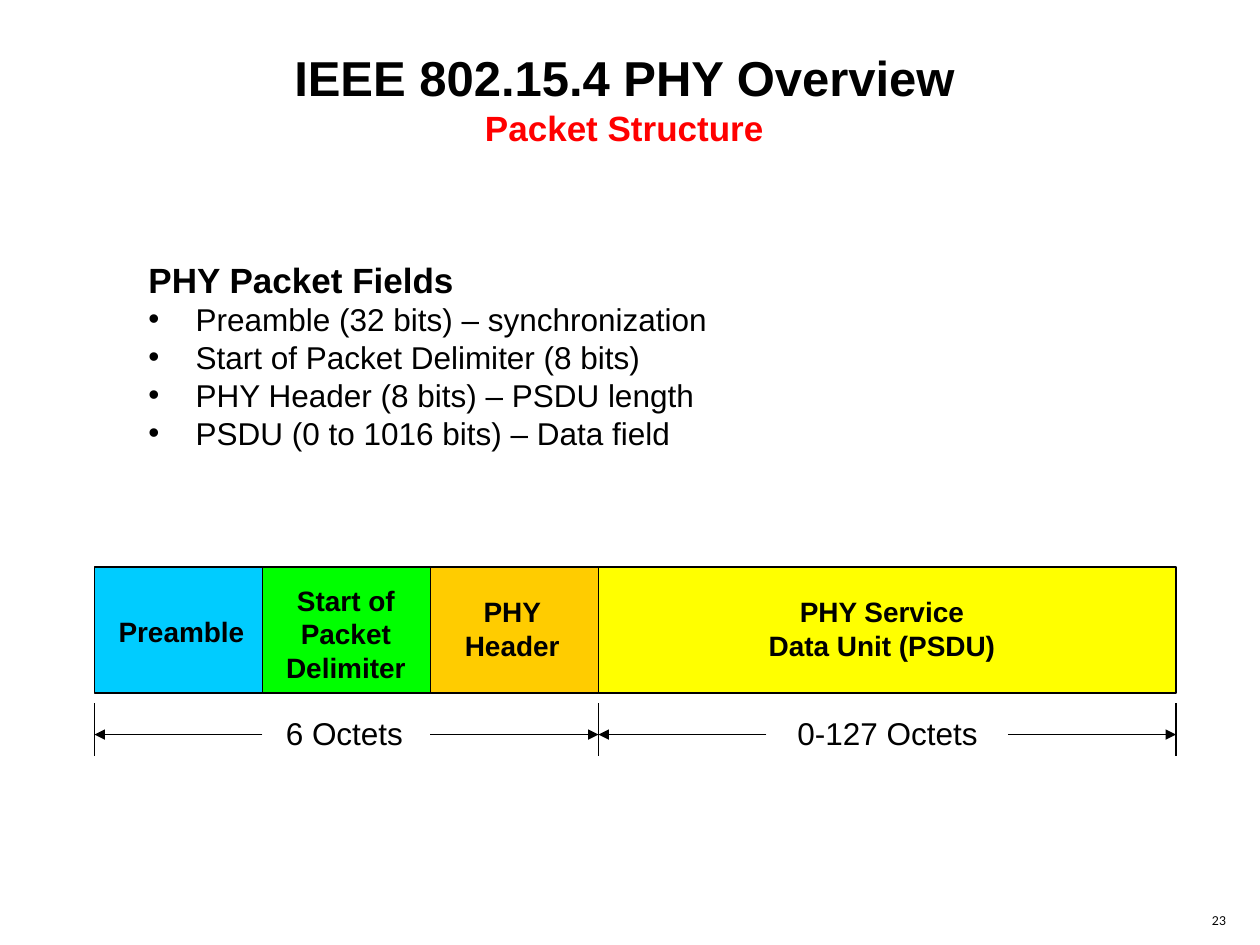
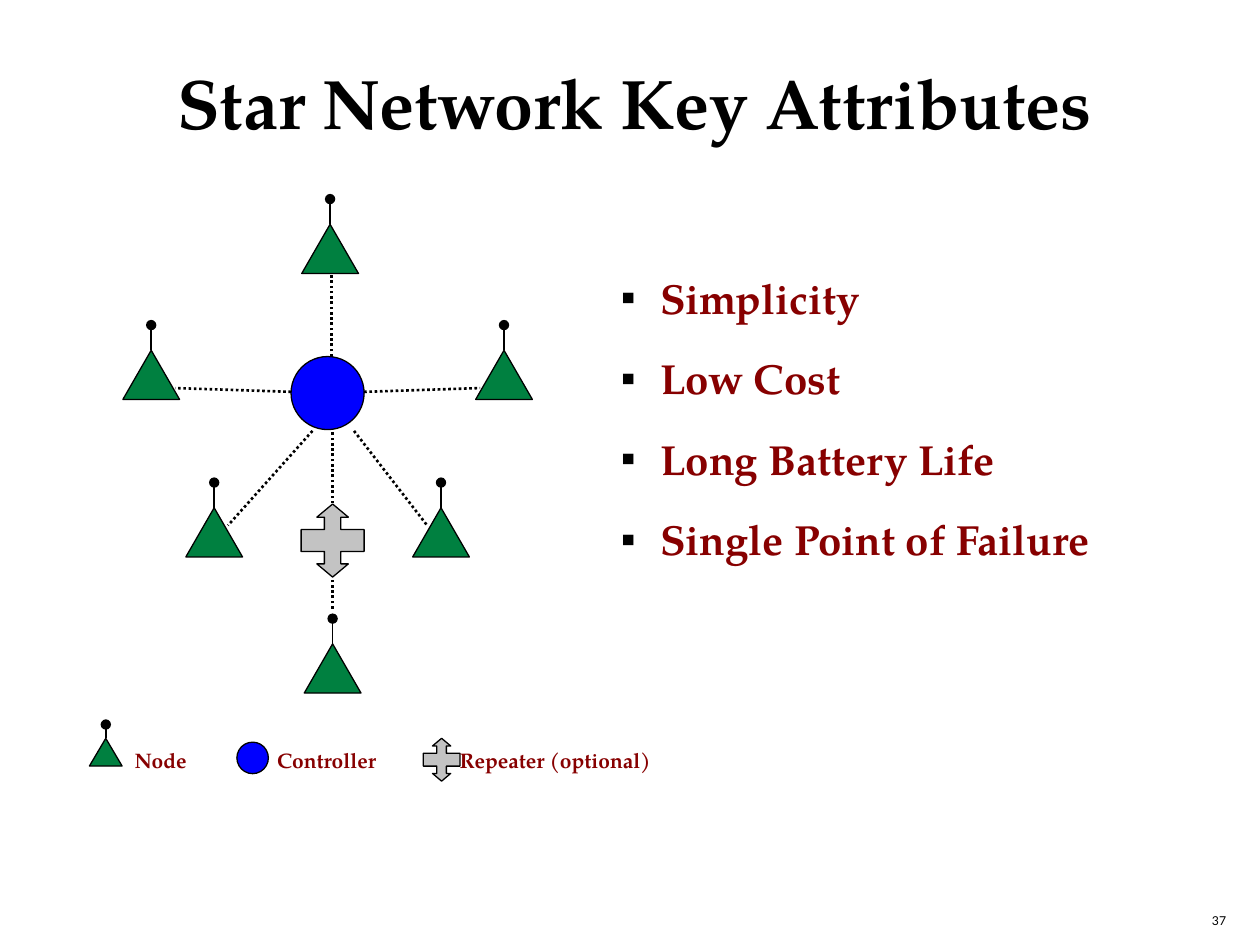
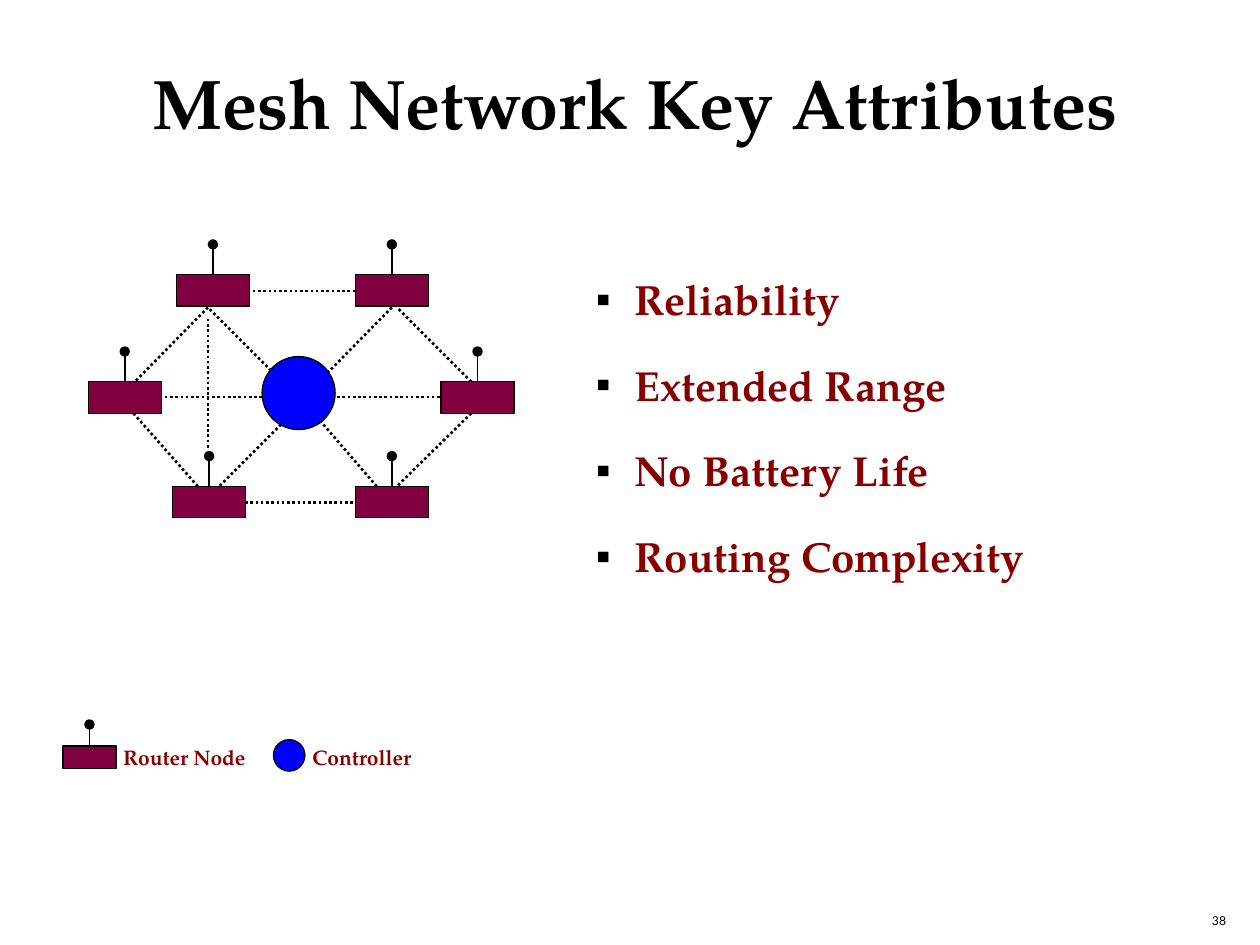
import dataclasses
import pptx
import pptx.dml.color
import pptx.enum.dml
import pptx.enum.shapes
import pptx.enum.text
import pptx.oxml.ns
import pptx.util
from lxml import etree

Inches = pptx.util.Inches
RGBColor = pptx.dml.color.RGBColor
Shape = pptx.enum.shapes.MSO_SHAPE
Align = pptx.enum.text.PP_ALIGN

# Shared look
BLACK = RGBColor(0x00, 0x00, 0x00)
RED = RGBColor(0xFF, 0x00, 0x00)
MAROON = RGBColor(0x87, 0x00, 0x00)
CYAN = RGBColor(0x00, 0xCC, 0xFF)
LIME = RGBColor(0x00, 0xFF, 0x00)
AMBER = RGBColor(0xFF, 0xCC, 0x00)
YELLOW = RGBColor(0xFF, 0xFF, 0x00)
GREEN = RGBColor(0x00, 0x80, 0x40)
PLUM = RGBColor(0x80, 0x00, 0x40)
BLUE = RGBColor(0x00, 0x00, 0xFF)
GREY = RGBColor(0xC3, 0xC3, 0xC3)


@dataclasses.dataclass
class Style:
    size: int
    font: str = "Arial"
    color: RGBColor = BLACK
    bold: bool = True
    bullet: str = ""
    indent: float = 0
    spacing: float = 1


SERIF = "TeX Gyre Pagella"
PACKET_TITLE = Style(28)
PACKET_SUBTITLE = Style(20, color=RED)
FIELD_HEADING = Style(20)
FIELD_ITEM = Style(18, bold=False, bullet="•", indent=0.375)
FIELD_LABEL = Style(16)
OCTETS = Style(18, bold=False)
NETWORK_TITLE = Style(40, SERIF)
ATTRIBUTE = Style(24, SERIF, MAROON, bullet="▪", indent=0.31)
LEGEND = Style(12, SERIF, MAROON)
PAGE_NUMBER = Style(7, "Lato", bold=False)

# Packet slide: the bar is laid out in columns of 4/3 inch
COLUMN, BAR_LEFT, BAR_TOP, BAR_HEIGHT = 4 / 3, 0.75, 4.5, 1
HEADER_COLUMNS, BAR_COLUMNS = 3, 6.4375
PACKET_ITEMS = [
    "Preamble (32 bits) – synchronization",
    "Start of Packet Delimiter (8 bits)",
    "PHY Header (8 bits) – PSDU length",
    "PSDU (0 to 1016 bits) – Data field",
]
# label lines, fill, columns, label box
FIELDS = [
    (["Preamble"], CYAN, 1, (0.84, 4.83, 1.2, 0.37)),
    (["Start of", "Packet", "Delimiter"], LIME, 1, (2.17, 4.58, 1.15, 0.9)),
    (["PHY", "Header"], AMBER, 1, (3.59, 4.67, 0.95, 0.64)),
    (["PHY Service", "Data Unit (PSDU)"], YELLOW, BAR_COLUMNS - HEADER_COLUMNS,
     (6, 4.67, 2, 0.64)),
]
# text, label box, first and last column of the span
SPANS = [
    ("6 Octets", (2.17, 5.62, 1.13, 0.4), 0, HEADER_COLUMNS),
    ("0-127 Octets", (6.23, 5.62, 1.63, 0.4), HEADER_COLUMNS, BAR_COLUMNS),
]

# Network parts: preset, fill, width, height, antenna length
NODE = (Shape.ISOSCELES_TRIANGLE, GREEN, 0.45, 0.39, 0.2)
SMALL_NODE = (Shape.ISOSCELES_TRIANGLE, GREEN, 0.26, 0.22, 0.11)
ROUTER = (Shape.RECTANGLE, PLUM, 0.58, 0.25, 0.24)
SMALL_ROUTER = (Shape.RECTANGLE, PLUM, 0.42, 0.18, 0.17)
CONTROLLER, SMALL_CONTROLLER = 0.58, 0.25
# half of the repeater's outline in shares of its box; the rest is a half turn
REPEATER_HALF = [(0.5, 0), (0.75, 0.18), (0.63, 0.18), (0.63, 0.35), (1, 0.35),
                 (1, 0.65), (0.63, 0.65), (0.63, 0.82), (0.75, 0.82)]

# nodes are (kind, centre, top); controllers (left, top, diameter)
NETWORKS = [
    dict(
        title="Star Network Key Attributes", number="37",
        attributes=["Simplicity", "Low Cost", "Long Battery Life",
                    "Single Point of Failure"],
        attribute_box=(4.83, 1.87, 4.19, 2.66), spacing=1.6,
        links=[(2.63, 2.83, 2.63, 2.17), (2.31, 3.11, 1.39, 3.08),
               (2.48, 3.42, 1.81, 4.17), (2.89, 3.11, 3.81, 3.08),
               (2.81, 3.42, 3.39, 4.17), (2.64, 4.83, 2.64, 3.42)],
        nodes=[(NODE, 1.7, 4.03), (NODE, 3.5, 4.03), (NODE, 1.2, 2.78),
               (NODE, 4, 2.78), (NODE, 2.62, 1.78), (NODE, 2.64, 5.11),
               (SMALL_NODE, 0.84, 5.86)],
        controllers=[(2.31, 2.83, CONTROLLER), (1.88, 5.89, SMALL_CONTROLLER)],
        repeaters=[(2.39, 4, 0.5, 0.58), (3.36, 5.86, 0.29, 0.34)],
        legend=[("Node", 0.97, 0.63), ("Controller", 2.1, 1.08),
                ("Repeater (optional)", 3.55, 1.85)],
        legend_top=5.88,
    ),
    dict(
        title="Mesh Network Key Attributes", number="38",
        attributes=["Reliability", "Extended Range", "No Battery Life",
                    "Routing Complexity"],
        attribute_box=(4.63, 1.84, 3.79, 2.82), spacing=1.7,
        links=[(1.65, 2.44, 1.07, 3.03), (2.08, 3.15, 1.25, 3.15),
               (3.49, 3.15, 2.66, 3.15), (1.57, 3.86, 1.05, 3.27),
               (3.74, 3.03, 3.15, 2.44), (2.8, 3.99, 1.89, 3.99),
               (3.74, 3.28, 3.15, 3.86), (2.82, 2.31, 1.99, 2.31),
               (3.11, 2.44, 2.53, 3.03), (2.24, 3.03, 1.65, 2.44),
               (2.32, 3.28, 1.74, 3.86), (2.99, 3.86, 2.49, 3.28),
               (1.65, 2.53, 1.65, 3.57)],
        nodes=[(ROUTER, 0.99, 3.03), (ROUTER, 1.69, 2.18), (ROUTER, 1.66, 3.86),
               (ROUTER, 3.11, 3.86), (ROUTER, 3.79, 3.03), (ROUTER, 3.11, 2.18),
               (SMALL_ROUTER, 0.71, 5.92)],
        controllers=[(2.08, 2.83, CONTROLLER), (2.17, 5.87, SMALL_CONTROLLER)],
        repeaters=[],
        legend=[("Router Node", 0.88, 1.26), ("Controller", 2.38, 1.08)],
        legend_top=5.86,
    ),
]


# Drawing helpers
def add_child(parent, tag, **attributes):
    return etree.SubElement(parent, pptx.oxml.ns.qn(tag), attributes)


def add_bullet(para, style):
    props = para._p.get_or_add_pPr()
    props.set("marL", str(Inches(style.indent)))
    props.set("indent", str(-Inches(style.indent)))
    add_child(add_child(props, "a:buClr"), "a:srgbClr", val=str(BLACK))
    add_child(props, "a:buFont", typeface="Arial")
    add_child(props, "a:buChar", char=style.bullet)


def add_text(page, place, lines, align=Align.LEFT, wrap=True, middle=False):
    """Add a text box; lines are (text, style) pairs, one per paragraph."""
    frame = page.shapes.add_textbox(*map(Inches, place)).text_frame
    frame.word_wrap = wrap
    if not wrap:
        frame.auto_size = pptx.enum.text.MSO_AUTO_SIZE.SHAPE_TO_FIT_TEXT
    if middle:
        frame.vertical_anchor = pptx.enum.text.MSO_ANCHOR.MIDDLE
    for index, (text, style) in enumerate(lines):
        para = frame.add_paragraph() if index else frame.paragraphs[0]
        para.text = text
        para.alignment = align
        if style.bullet:
            add_bullet(para, style)
        para.line_spacing = style.spacing
        para.font.size = pptx.util.Pt(style.size)
        para.font.name = style.font
        para.font.bold = style.bold
        para.font.color.rgb = style.color


def paint(shape, fill, width=0.75):
    shape.shadow.inherit = False
    shape.fill.solid()
    shape.fill.fore_color.rgb = fill
    shape.line.color.rgb = BLACK
    shape.line.width = pptx.util.Pt(width)


def add_preset(shapes, preset, place, fill, width=0.75):
    paint(shapes.add_shape(preset, *map(Inches, place)), fill, width)


def add_line(shapes, ends, width=1, tip=None, dotted=False):
    line = shapes.add_connector(pptx.enum.shapes.MSO_CONNECTOR.STRAIGHT,
                                *map(Inches, ends))
    line.line.color.rgb = BLACK
    line.line.width = pptx.util.Pt(width)
    if dotted:
        line.line.dash_style = pptx.enum.dml.MSO_LINE.ROUND_DOT
    if tip:
        add_child(line.line._get_or_add_ln(), "a:tailEnd", type=tip)
    add_child(line._element.spPr, "a:effectLst")


def add_node(page, kind, centre, top):
    preset, fill, width, height, antenna = kind
    shapes = page.shapes.add_group_shape().shapes
    add_line(shapes, (centre, top, centre, top - antenna), tip="oval")
    add_preset(shapes, preset, (centre - width / 2, top, width, height), fill)


def add_repeater(page, left, top, width, height):
    outline = REPEATER_HALF + [(1 - x, 1 - y) for x, y in REPEATER_HALF]
    points = [(Inches(left + x * width), Inches(top + y * height))
              for x, y in outline]
    builder = page.shapes.build_freeform(*points[0])
    builder.add_line_segments(points[1:], close=True)
    paint(builder.convert_to_shape(), GREY)


def add_page(deck, number):
    page = deck.slides.add_slide(deck.slide_layouts[6])
    add_text(page, (9.45, 7.14, 0.45, 0.33), [(number, PAGE_NUMBER)],
             Align.CENTER, middle=True)
    return page


# Slides
def build_packet(deck):
    page = add_page(deck, "23")
    add_text(page, (1.08, 0.33, 7.75, 0.9),
             [("IEEE 802.15.4 PHY Overview", PACKET_TITLE),
              ("Packet Structure", PACKET_SUBTITLE)], Align.CENTER)
    add_text(page, (1.08, 2, 7.83, 1.64),
             [("PHY Packet Fields", FIELD_HEADING)]
             + [(item, FIELD_ITEM) for item in PACKET_ITEMS])

    # Packet bar
    left = BAR_LEFT
    for label, fill, columns, place in FIELDS:
        width = columns * COLUMN
        add_preset(page.shapes, Shape.RECTANGLE,
                   (left, BAR_TOP, width, BAR_HEIGHT), fill, 1)
        add_text(page, place, [(line, FIELD_LABEL) for line in label],
                 Align.CENTER, wrap=False)
        left += width

    # Dimension marks under the bar
    for column in (0, HEADER_COLUMNS, BAR_COLUMNS):
        x = BAR_LEFT + column * COLUMN
        add_line(page.shapes, (x, 5.58, x, 6))
    for text, place, first, last in SPANS:
        add_text(page, place, [(text, OCTETS)], wrap=False)
        for column, inward in ((first, 1), (last, -1)):
            x = BAR_LEFT + column * COLUMN
            add_line(page.shapes, (x + inward * COLUMN, 5.83, x, 5.83),
                     tip="triangle")


def build_network(deck, network):
    page = add_page(deck, network["number"])
    add_text(page, (0.58, 0.42, 8.92, 0.77),
             [(network["title"], NETWORK_TITLE)], Align.CENTER)
    style = dataclasses.replace(ATTRIBUTE, spacing=network["spacing"])
    add_text(page, network["attribute_box"],
             [(text, style) for text in network["attributes"]])

    # Diagram and legend symbols
    for ends in network["links"]:
        add_line(page.shapes, ends, 1.5, dotted=True)
    for node in network["nodes"]:
        add_node(page, *node)
    for left, top, size in network["controllers"]:
        add_preset(page.shapes, Shape.OVAL, (left, top, size, size), BLUE)
    for place in network["repeaters"]:
        add_repeater(page, *place)
    for text, left, width in network["legend"]:
        add_text(page, (left, network["legend_top"], width, 0.3),
                 [(text, LEGEND)], wrap=False)


def main():
    deck = pptx.Presentation()
    deck.slide_width, deck.slide_height = Inches(10), Inches(7.5)
    build_packet(deck)
    for network in NETWORKS:
        build_network(deck, network)
    deck.save("out.pptx")


if __name__ == "__main__":
    main()
